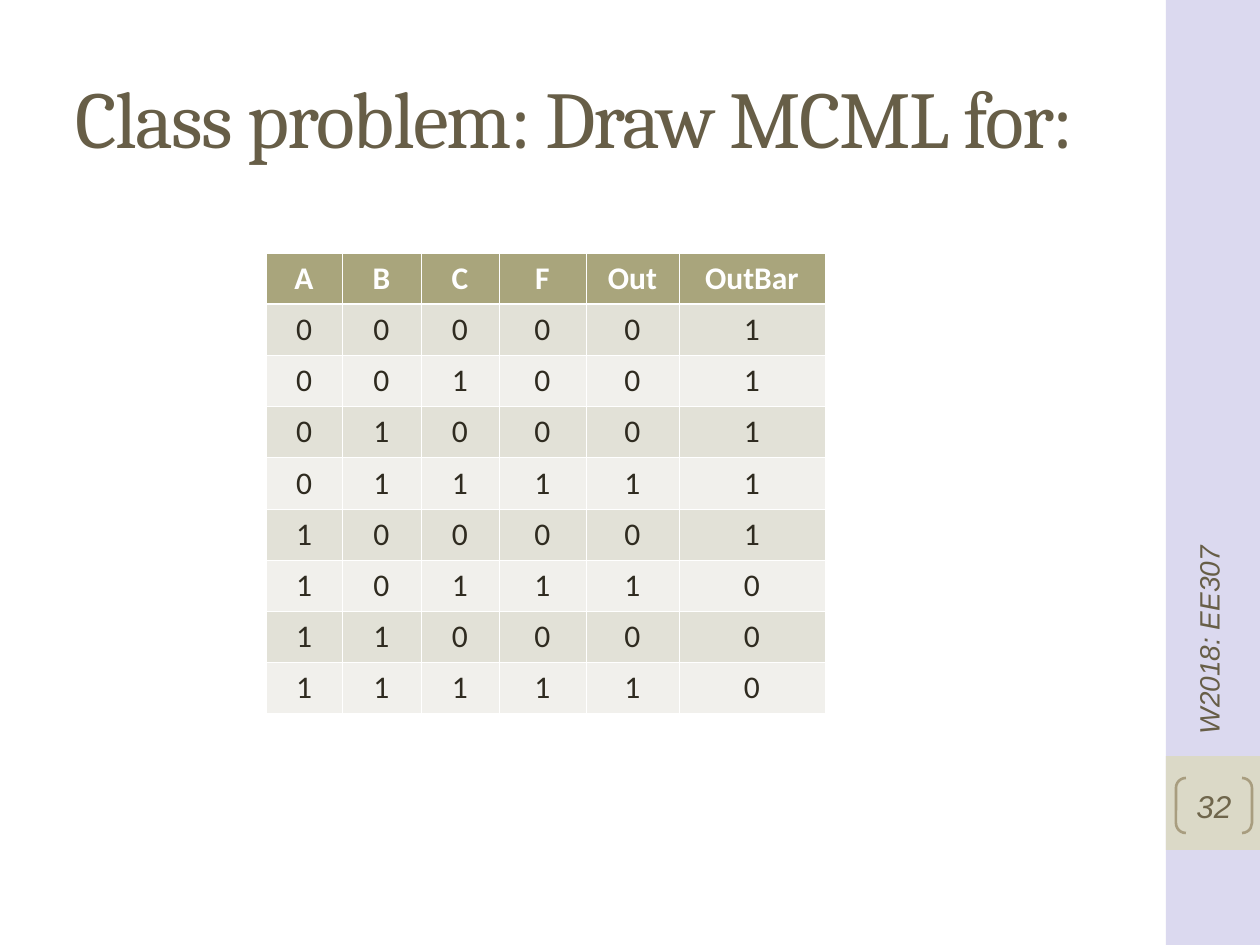
from lxml.etree import SubElement
from pptx import Presentation
from pptx.dml.color import RGBColor
from pptx.enum.shapes import MSO_SHAPE as Shape
from pptx.enum.text import MSO_ANCHOR as Anchor, PP_ALIGN as Align
from pptx.oxml.ns import qn
from pptx.util import Emu, Pt

SCALE = 914400 / 126


def px(*lengths):
    """Turn pixel lengths into a list of EMU."""
    return [Emu(round(length * SCALE)) for length in lengths]


def write(frame, text, size, font, color, align=Align.LEFT, bold=False, italic=False):
    frame.text = text
    paragraph = frame.paragraphs[0]
    paragraph.alignment = align
    style = paragraph.runs[0].font
    style.size, style.name = Pt(size), font
    style.bold, style.italic = bold, italic
    style.color.rgb = RGBColor.from_string(color)


presentation = Presentation()
presentation.slide_width, presentation.slide_height = px(1260, 945)
slide = presentation.slides.add_slide(presentation.slide_layouts[6])
shapes = slide.shapes

# Side band with the block behind the page number
for top, height, color in [(0, 945, "DBD9EF"), (756, 94, "DBD9C7")]:
    band = shapes.add_shape(Shape.RECTANGLE, *px(1166, top, 94, height))
    band.shadow.inherit = False
    band.fill.solid()
    band.fill.fore_color.rgb = RGBColor.from_string(color)
    band.line.fill.background()

title = shapes.add_textbox(*px(63, 38, 1154, 157)).text_frame
title.word_wrap = True
title.vertical_anchor = Anchor.MIDDLE
write(title, "Class problem: Draw MCML for:", 46, "Cambria", "675E47")
title.paragraphs[0].runs[0].font._element.set("spc", "-100")

page_number = shapes.add_shape(Shape.DOUBLE_BRACKET, *px(1176, 778, 76, 55))
page_number.shadow.inherit = False
page_number.adjustments[0] = 0.18
page_number.fill.background()
page_number.line.color.rgb = RGBColor.from_string("A89D7F")
page_number.line.width = Pt(1.5)
frame = page_number.text_frame
frame.margin_left = frame.margin_top = frame.margin_right = frame.margin_bottom = 0
frame.vertical_anchor = Anchor.MIDDLE
write(frame, "32", 18, "Arial", "6F664C", Align.CENTER, italic=True)

course = shapes.add_textbox(*px(946, 459, 525, 50))
course.rotation = 270
course.text_frame.word_wrap = True
course.text_frame.vertical_anchor = Anchor.MIDDLE
write(course.text_frame, "W2018: EE307", 16, "Arial", "675E47", italic=True)

# Truth table
headers = ["A", "B", "C", "F", "Out", "OutBar"]
values = ["000001", "001001", "010001", "011111",
          "100001", "101110", "110000", "111110"]
rows = [headers, *values]
table = shapes.add_table(len(rows), len(headers), *px(266, 253, 559, 461)).table
for column, width in zip(table.columns, px(76, 79, 78, 87, 93, 146)):
    column.width = width

for row_index, row in enumerate(rows):
    is_header = row_index == 0
    band_color = "E2E1D7" if row_index % 2 else "F1F0EC"
    for column_index, text in enumerate(row):
        cell = table.cell(row_index, column_index)
        write(cell.text_frame, text, 18, "Calibri",
              "FFFFFF" if is_header else "2F2B20", Align.CENTER, bold=is_header)
        properties = cell._tc.get_or_add_tcPr()
        for side in ("lnL", "lnR", "lnT", "lnB"):
            heavy = (row_index, side) in [(0, "lnB"), (1, "lnT")]
            border = SubElement(properties, qn(f"a:{side}"), w=str(Pt(1.5 if heavy else 0.45)))
            SubElement(SubElement(border, qn("a:solidFill")), qn("a:srgbClr"), val="FFFFFF")
        cell.fill.solid()
        cell.fill.fore_color.rgb = RGBColor.from_string("A9A57C" if is_header else band_color)

presentation.save("out.pptx")
